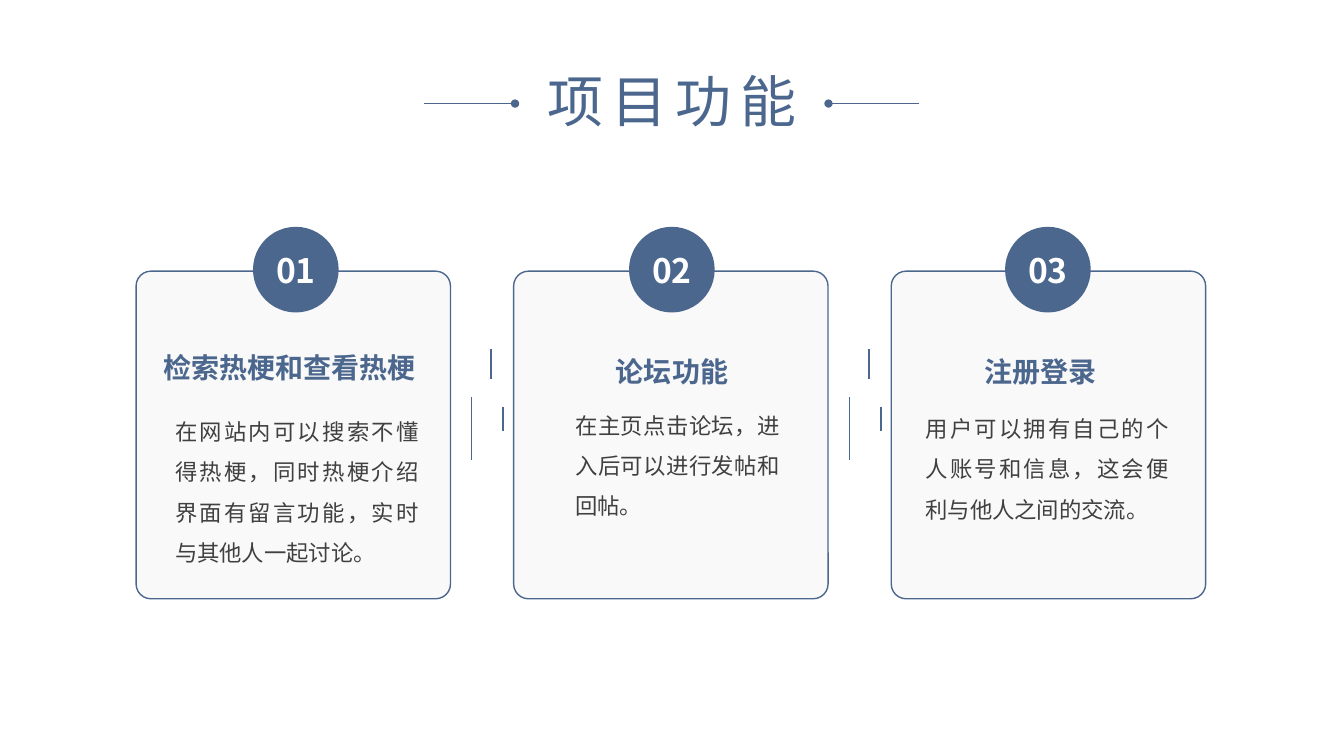
import pptx
import pptx.dml.color
import pptx.enum.shapes
import pptx.enum.text
import pptx.oxml
import pptx.oxml.ns
import pptx.util
from lxml import etree

Pt = pptx.util.Pt
SHAPE = pptx.enum.shapes.MSO_SHAPE
ALIGN = pptx.enum.text.PP_ALIGN
ANCHOR = pptx.enum.text.MSO_ANCHOR
qn = pptx.oxml.ns.qn


def rgb(hex_color):
    return pptx.dml.color.RGBColor.from_string(hex_color)


def write(tf, text, size, color, font, bold=False, align=ALIGN.CENTER,
          anchor=ANCHOR.TOP, line=None, spacing=None, inset=0):
    tf.word_wrap = True
    tf.vertical_anchor = anchor
    tf.margin_left = tf.margin_right = Pt(inset * 2)
    tf.margin_top = tf.margin_bottom = Pt(inset)
    p = tf.paragraphs[0]
    p.alignment = align
    if line:
        p.line_spacing = Pt(line)
    r = p.add_run()
    r.text = text
    r.font.size = Pt(size)
    r.font.bold = bold
    r.font.color.rgb = rgb(color)
    r.font.name = font
    rPr = r.font._element
    etree.SubElement(rPr, qn("a:ea")).set("typeface", font)
    if spacing:
        rPr.set("spc", str(spacing * 100))


class Deck:
    FONT = "Noto Sans CJK SC"
    BLUE = "4C678E"
    GRAY = "404040"
    CARD = "F2F2F2"

    def __init__(self, slide):
        self.shapes = slide.shapes

    def text(self, x, y, w, h, text, size, color=BLUE, **fmt):
        sp = self.shapes.add_textbox(Pt(x), Pt(y), Pt(w), Pt(h))
        write(sp.text_frame, text, size, color, self.FONT, **fmt)

    def shape(self, kind, x, y, w, h, fill):
        sp = self.shapes.add_shape(kind, Pt(x), Pt(y), Pt(w), Pt(h))
        sp.shadow.inherit = False
        sp.fill.solid()
        sp.fill.fore_color.rgb = rgb(fill)
        return sp

    def card(self, x, y, w, h):
        sp = self.shape(SHAPE.ROUNDED_RECTANGLE, x, y, w, h, self.CARD)
        sp.adjustments[0] = 0.047
        sp.line.color.rgb = rgb(self.BLUE)
        sp.line.width = Pt(1)
        clr = sp._element.spPr.find(qn("a:solidFill")).find(qn("a:srgbClr"))
        etree.SubElement(clr, qn("a:alpha")).set("val", "44000")

    def badge(self, x, y, d, label):
        sp = self.shape(SHAPE.OVAL, x, y, d, d, self.BLUE)
        sp.line.fill.background()
        write(sp.text_frame, label, 24, "FFFFFF", self.FONT, bold=True,
              anchor=ANCHOR.MIDDLE)

    def line(self, x1, y1, x2, y2, width=1, dot=False):
        cx = self.shapes.add_connector(
            pptx.enum.shapes.MSO_CONNECTOR.STRAIGHT,
            Pt(x1), Pt(y1), Pt(x2), Pt(y2))
        cx.line.color.rgb = rgb(self.BLUE)
        cx.line.width = Pt(width)
        if dot:
            etree.SubElement(cx.line._get_or_add_ln(),
                             qn("a:tailEnd")).set("type", "oval")
        etree.SubElement(cx._element.spPr, qn("a:effectLst"))


# heading: text, x, y, w; body: text, x, y, w, h
FEATURES = [
    (("检索热梗和查看热梗", 116.6, 238, 229),
     ("在网站内可以搜索不懂得热梗，同时热梗介绍界面有留言功能，实时与其他人一起讨论。",
      125, 289, 174.2, 113)),
    (("论坛功能", 440, 241.5, 88.6),
     ("在主页点击论坛，进入后可以进行发帖和回帖。", 411, 284.5, 146.2, 83.5)),
    (("注册登录", 703.5, 241.5, 88.6),
     ("用户可以拥有自己的个人账号和信息，这会便利与他人之间的交流。",
      661, 287, 174.2, 83.5)),
]
CARD_X, CARD_PITCH = 97.2, 269.7
BADGE_X, BADGE_PITCH = 180.7, 268.6
DIVIDER_X, DIVIDER_PITCH = 337, 270
DIVIDER = [(13.7, 249, 271), (22.3, 291, 308), (0, 283.7, 328.3)]


def main():
    prs = pptx.Presentation()
    prs.slide_width, prs.slide_height = Pt(960), Pt(540)
    deck = Deck(prs.slides.add_slide(prs.slide_layouts[6]))

    # Title between two dotted rules
    deck.text(371.5, 44, 216.7, 55.4, "项目功能", 40, line=48, spacing=6,
              inset=3.6)
    for outer, inner in ((303.1, 367.9), (656.6, 591.8)):
        deck.line(outer, 74, inner, 74, width=0.5, dot=True)

    # Feature cards
    for i, (heading, body) in enumerate(FEATURES):
        deck.card(CARD_X + i * CARD_PITCH, 193.7, 224.6, 234)
        deck.badge(BADGE_X + i * BADGE_PITCH, 162, 61.2, f"{i + 1:02}")
        text, x, y, w = heading
        deck.text(x, y, w, 32.4, text, 20, bold=True, align=ALIGN.JUSTIFY,
                  line=36)
        text, x, y, w, h = body
        deck.text(x, y, w, h, text, 16, deck.GRAY, align=ALIGN.JUSTIFY,
                  line=28.8)

    # Dashes between cards
    for i in range(len(FEATURES) - 1):
        for dx, top, bottom in DIVIDER:
            x = DIVIDER_X + i * DIVIDER_PITCH + dx
            deck.line(x, top, x, bottom)

    prs.save("out.pptx")


if __name__ == "__main__":
    main()
